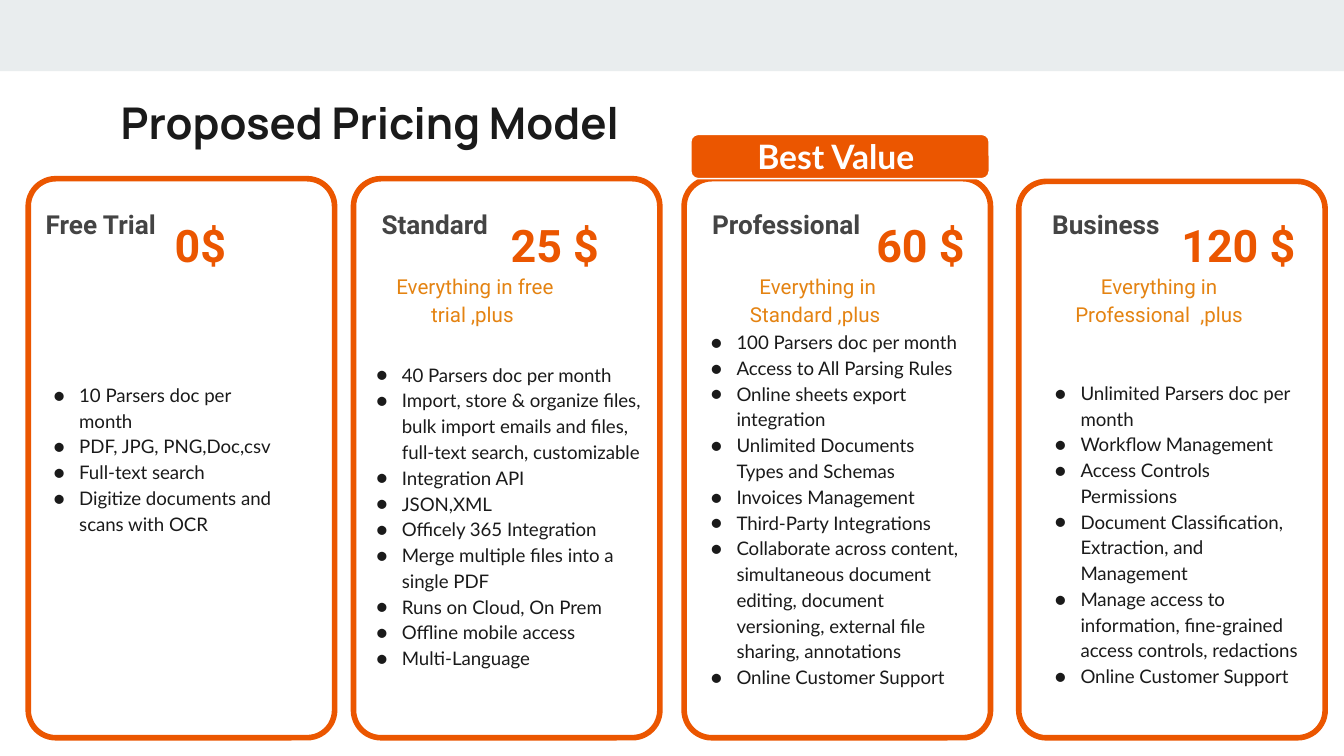
from dataclasses import dataclass

from lxml.etree import SubElement
from pptx import Presentation
from pptx.dml.color import RGBColor
from pptx.enum.shapes import MSO_SHAPE as Geo
from pptx.enum.text import MSO_ANCHOR as Anchor, PP_ALIGN as Align
from pptx.oxml.ns import qn
from pptx.util import Inches, Pt

HUES = {
    "band": "E9EDEE",
    "main": "EB5600",
    "ink": "1A1A1A",
    "gray": "444444",
    "gold": "E48312",
    "white": "FFFFFF",
}


@dataclass
class Box:
    left: float
    top: float
    width: float
    height: float

    def lengths(self) -> list:
        return [Inches(v) for v in (self.left, self.top, self.width, self.height)]


@dataclass
class Plan:
    name: str
    price: str
    frame: Box
    label: float
    cost: Box
    items: Box
    perks: list[str]
    note: str = ""
    side: float = 0


PLANS = [
    Plan("Free Trial", "0$", Box(0.21, 1.33, 2.28, 4.16), 0.24,
         Box(1.3, 1.52, 1.1, 0.59), Box(0.28, 2.36, 1.9, 2.09),
         ["10 Parsers doc per month",
          "PDF, JPG, PNG,Doc,csv",
          "Full-text search",
          "Digitize documents and scans with OCR"]),
    Plan("Standard", "25 $", Box(2.63, 1.33, 2.28, 4.16), 2.74,
         Box(3.8, 1.52, 1.1, 0.59), Box(2.68, 2.24, 2.22, 3.18),
         ["40 Parsers doc per month",
          "Import, store & organize files, bulk import emails and files, "
          "full-text search, customizable",
          "Integration API",
          "JSON,XML",
          "Officely 365 Integration",
          "Merge multiple files into a single PDF",
          "Runs on Cloud, On Prem",
          "Offline mobile access",
          "Multi-Language"],
         "Everything in free trial ,plus ", 2.81),
    Plan("Professional", "60 $", Box(5.09, 1.33, 2.28, 4.16), 5.2,
         Box(6.52, 1.52, 0.81, 0.59), Box(5.17, 2.24, 2.11, 3.08),
         ["100 Parsers doc per month",
          "Access to All Parsing Rules",
          "Online sheets export integration",
          "Unlimited Documents Types and Schemas",
          "Invoices Management",
          "Third-Party Integrations",
          "Collaborate across content, simultaneous document editing, "
          "document versioning, external file sharing, annotations",
          "Online Customer Support"],
         "Everything in Standard ,plus ", 5.36),
    Plan("Business", "120 $", Box(7.58, 1.35, 2.28, 4.14), 7.73,
         Box(8.79, 1.52, 1.1, 0.59), Box(7.73, 2.76, 2.12, 2.41),
         ["Unlimited Parsers doc per month",
          "Workflow Management",
          "Access Controls Permissions",
          "Document Classification, Extraction, and Management",
          "Manage access to information, fine-grained access controls, redactions",
          "Online Customer Support"],
         "Everything in Professional  ,plus ", 7.9),
]


def color(key: str) -> RGBColor:
    return RGBColor.from_string(HUES[key])


def add_dot(para, font: str) -> None:
    props = para._p.get_or_add_pPr()
    props.set("marL", str(Inches(0.31)))
    props.set("indent", str(Inches(-0.19)))
    tint = SubElement(props, qn("a:buClr"))
    SubElement(tint, qn("a:srgbClr")).set("val", HUES["ink"])
    SubElement(props, qn("a:buFont")).set("typeface", font)
    SubElement(props, qn("a:buChar")).set("char", "●")


def write(frame, *lines: str, size: float, font: str, hue: str, bold: bool = False,
          align=Align.LEFT, anchor=Anchor.TOP, space: float = 1.0,
          inset: tuple = (0.1, 0.1), dots: bool = False) -> None:
    frame.word_wrap = True
    frame.vertical_anchor = anchor
    frame.margin_left, frame.margin_right = map(Inches, inset)
    frame.margin_top = frame.margin_bottom = Inches(0.1)
    for i, line in enumerate(lines):
        para = frame.paragraphs[0] if i == 0 else frame.add_paragraph()
        if dots:
            add_dot(para, font)
        para.alignment = align
        para.line_spacing = space
        run = para.add_run()
        run.text = line
        run.font.size = Pt(size)
        run.font.name = font
        run.font.bold = bold
        run.font.color.rgb = color(hue)


def add_text(slide, box: Box, *lines: str, **style) -> None:
    write(slide.shapes.add_textbox(*box.lengths()).text_frame, *lines, **style)


def add_panel(slide, geo, box: Box, fill: str = "", line: str = "",
              weight: float = 0.75, bend: float = 0):
    panel = slide.shapes.add_shape(geo, *box.lengths())
    panel.shadow.inherit = False
    if fill:
        panel.fill.solid()
        panel.fill.fore_color.rgb = color(fill)
    else:
        panel.fill.background()
    if line:
        panel.line.color.rgb = color(line)
        panel.line.width = Pt(weight)
    else:
        panel.line.fill.background()
    if bend:
        panel.adjustments[0] = bend
    return panel


def add_plan(slide, plan: Plan) -> None:
    add_panel(slide, Geo.ROUNDED_RECTANGLE, plan.frame, line="main", weight=3, bend=0.09)
    add_text(slide, plan.cost, plan.price, size=24, font="Roboto", hue="main",
             bold=True, inset=(0, 0))
    add_text(slide, plan.items, *plan.perks, size=10, font="Lato", hue="ink",
             anchor=Anchor.MIDDLE, space=1.15, inset=(0, 0.1), dots=True)
    add_text(slide, Box(plan.label, 1.44, 1.61, 0.42), plan.name, size=14,
             font="Roboto", hue="gray", bold=True, anchor=Anchor.MIDDLE, space=1.15)
    if plan.note:
        add_text(slide, Box(plan.side, 1.91, 1.45, 0.86), plan.note, size=11,
                 font="Roboto", hue="gold", align=Align.CENTER, space=1.15)


def main() -> None:
    deck = Presentation()
    deck.slide_width = Inches(10)
    deck.slide_height = Inches(10) * 9 // 16
    slide = deck.slides.add_slide(deck.slide_layouts[6])
    add_panel(slide, Geo.RECTANGLE, Box(0, 0, 10, 0.53), fill="band")
    add_text(slide, Box(0.8, 0.61, 8.41, 0.59), "Proposed Pricing Model",
             size=23.4, font="Manrope", hue="ink", bold=True)
    for plan in PLANS:
        add_plan(slide, plan)
    badge = add_panel(slide, Geo.ROUNDED_RECTANGLE, Box(5.14, 1, 2.22, 0.33),
                      fill="main", line="white", bend=0.17)
    write(badge.text_frame, "Best Value ", size=18, font="Lato", hue="white",
          bold=True, align=Align.CENTER, anchor=Anchor.MIDDLE)
    deck.save("out.pptx")


if __name__ == "__main__":
    main()
